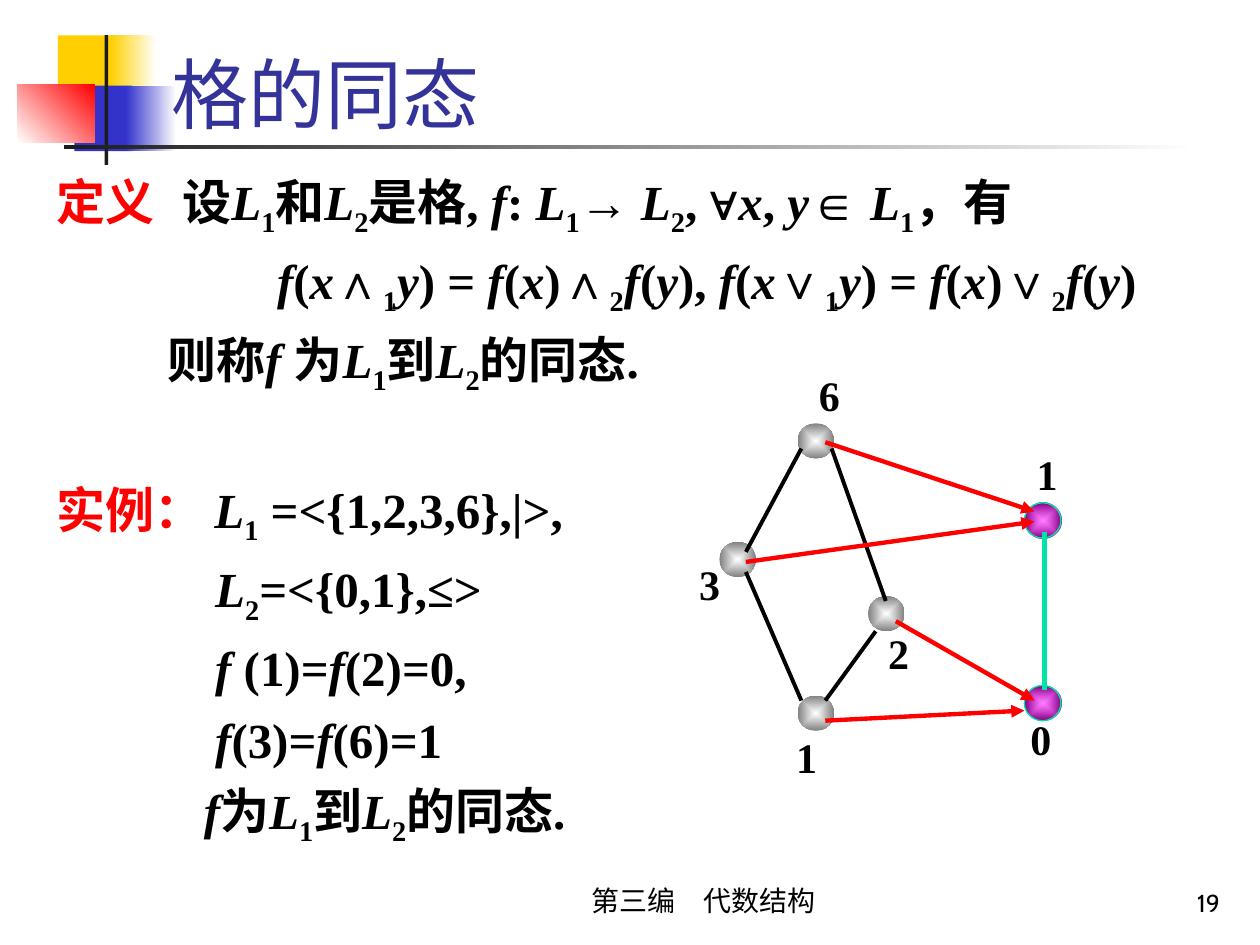
from dataclasses import dataclass
from itertools import groupby

from lxml.etree import SubElement
from pptx import Presentation
from pptx.dml.color import RGBColor
from pptx.enum.shapes import MSO_CONNECTOR, MSO_SHAPE
from pptx.enum.text import MSO_ANCHOR, PP_ALIGN
from pptx.oxml import parse_xml
from pptx.oxml.ns import nsdecls, qn
from pptx.util import Inches, Pt


@dataclass(frozen=True)
class Theme:
    sans: str = "Cabin"
    serif: str = "Times New Roman"
    title_size: int = 44
    body_size: int = 28
    label_size: int = 24
    footer_size: int = 16
    number_size: int = 14
    title: str = "333399"
    black: str = "000000"
    white: str = "FFFFFF"
    red: str = "FF0000"
    yellow: str = "FFCF01"
    blue: str = "3333CC"
    dark: str = "1C1C1C"
    gray: str = "808080"
    magenta: str = "FF00FF"
    purple: str = "760076"
    green: str = "00E4A8"


T = Theme()
NODE_W, NODE_H = 0.29, 0.28

# Letters are set in italics; a digit after "_" is a subscript.
# Each line: left indent, space before, red lead-in, text
BODY = [
    (0, 0, "定义\t", "设L_1和L_2是格, f: L_1→ L_2, ∀x, y∈ L_1，有"),
    (1.75, 7, "", "f(x∧_1y) = f(x)∧_2f(y), f(x∨_1y) = f(x)∨_2f(y)"),
    (0.88, 7, "", "则称f 为L_1到L_2的同态."),
    (0, 47.5, "实例： ", "L_1 =<{1,2,3,6},|>,"),
    (1.26, 7, "", "L_2=<{0,1},≤>"),
    (1.26, 7, "", "f (1)=f(2)=0,"),
    (1.26, 7, "", "f(3)=f(6)=1"),
    (1.17, 7, "", "f为L_1到L_2的同态."),
]
LEAD_TAB = 0.97

SOURCE_NODES = [(6.33, 3.36), (5.71, 4.3), (6.89, 4.73), (6.33, 5.52)]
TARGET_NODES = [(8.13, 5.44), (8.13, 3.99)]
SOURCE_EDGES = [
    ((6.36, 3.56), (5.92, 4.38)),
    ((6.95, 5.01), (6.55, 5.56)),
    ((6.36, 5.56), (5.92, 4.54)),
    ((7.03, 4.77), (6.6, 3.56)),
]
TARGET_EDGE = ((8.29, 4.22), (8.29, 5.48))
MAPPINGS = [
    ((6.55, 3.51), (8.21, 4.06)),
    ((5.92, 4.46), (8.21, 4.14)),
    ((6.55, 5.72), (8.13, 5.64)),
    ((7.11, 4.93), (8.21, 5.56)),
]
LABELS = [
    ("1", 6.22, 5.76), ("2", 6.95, 4.93), ("3", 5.45, 4.38),
    ("6", 6.4, 2.88), ("0", 8.08, 5.61), ("1", 8.13, 3.51),
]


def rgb(value):
    return RGBColor.from_string(value)


def add_run(p, text, size, color, font, **formats):
    r = p.add_run()
    r.text = text
    r.font.color.rgb = rgb(color)
    formats.update(size=Pt(size), name=font)
    for name, value in formats.items():
        setattr(r.font, name, value)
    return r


def add_box(s, x, y, w, h, **formats):
    tf = s.shapes.add_textbox(Inches(x), Inches(y), Inches(w), Inches(h)).text_frame
    for name, value in ({"word_wrap": True} | formats).items():
        setattr(tf, name, value)
    return tf


def add_line_of_text(s, at, text, size, color, font, align=PP_ALIGN.LEFT):
    """One bottom-anchored line: title, footer or slide number."""
    p = add_box(s, *at, vertical_anchor=MSO_ANCHOR.BOTTOM).paragraphs[0]
    p.alignment = align
    add_run(p, text, size, color, font)


def add_math(p, text):
    """Split marked-up text into italic, subscript and plain runs."""
    styled = []
    for before, char in zip(" " + text, text):
        if char != "_":
            styled.append((char, before == "_", char.isascii() and char.isalpha()))
    for (sub, italic), chars in groupby(styled, key=lambda c: c[1:]):
        r = add_run(p, "".join(c[0] for c in chars), T.body_size, T.black,
                    T.serif, bold=True, italic=italic)
        if sub:
            r.font._element.set("baseline", "-25000")


def add_body(s):
    tf = add_box(s, 0.35, 1.31, 9.29, 5.98)
    for i, (indent, before, lead, text) in enumerate(BODY):
        p = tf.add_paragraph() if i else tf.paragraphs[0]
        p.space_before = Pt(before)
        pPr = p._p.get_or_add_pPr()
        pPr.set("marL", str(Inches(indent)))
        pPr.set("indent", "0")
        if "\t" in lead:
            tabs = SubElement(pPr, qn("a:tabLst"))
            SubElement(tabs, qn("a:tab"), pos=str(Inches(LEAD_TAB)), algn="l")
        if lead:
            add_run(p, lead, T.body_size, T.red, T.serif, bold=True)
        add_math(p, text)


def add_filled(s, kind, at, colors, angle=0):
    """Add a shape with a solid fill (one colour) or a linear gradient (two)."""
    sp = s.shapes.add_shape(kind, *(Inches(v) for v in at))
    sp.shadow.inherit = False
    sp.line.fill.background()
    if len(colors) == 1:
        sp.fill.solid()
        sp.fill.fore_color.rgb = rgb(colors[0])
    else:
        sp.fill.gradient()
        sp.fill.gradient_angle = angle
        for stop, color in zip(sp.fill.gradient_stops, colors):
            stop.color.rgb = rgb(color)
    return sp


def add_node(s, x, y, colors, outline=None):
    """Add a lattice element shaded from its centre outwards."""
    sp = add_filled(s, MSO_SHAPE.OVAL, (x, y, NODE_W, NODE_H), colors)
    grad = sp._element.spPr.find(qn("a:gradFill"))
    grad.replace(grad.find(qn("a:lin")), parse_xml(
        f'<a:path {nsdecls("a")} path="rect">'
        '<a:fillToRect l="50000" t="50000" r="50000" b="50000"/></a:path>'))
    if outline:
        sp.line.color.rgb = rgb(outline)
        sp.line.width = Pt(0.75)
        SubElement(grad.find(".//" + qn("a:srgbClr")), qn("a:alpha"), val="50000")


def add_line(s, start, end, color, width, arrow=False):
    c = s.shapes.add_connector(MSO_CONNECTOR.STRAIGHT,
                               *(Inches(v) for v in start + end))
    c.line.color.rgb = rgb(color)
    c.line.width = Pt(width)
    if arrow:
        SubElement(c.line._get_or_add_ln(), qn("a:tailEnd"), type="triangle")
    SubElement(c._element.spPr, qn("a:effectLst"))


def add_ornament(s):
    for at, colors, angle in [
        ((0.46, 0.28, 0.48, 0.52), [T.yellow], 0),
        ((0.88, 0.28, 0.36, 0.52), [T.yellow, T.white], 0),
        ((0.59, 0.68, 0.46, 0.52), [T.blue], 0),
        ((1, 0.68, 0.4, 0.52), [T.blue, T.white], 0),
        ((0.14, 0.67, 0.61, 0.46), [T.white, T.red], 45),
        ((0.83, 0.28, 0.03, 1.03), [T.dark], 0),
        ((0.51, 1.15, 9, 0.03), [T.dark, T.white], 0),
    ]:
        add_filled(s, MSO_SHAPE.RECTANGLE, at, colors, angle)


def add_diagram(s):
    for x, y in SOURCE_NODES:
        add_node(s, x, y, [T.white, T.gray])
    for start, end in SOURCE_EDGES:
        add_line(s, start, end, T.black, 2.25)
    for x, y in TARGET_NODES:
        add_node(s, x, y, [T.magenta, T.purple], T.green)
    add_line(s, *TARGET_EDGE, T.green, 2.5)
    for text, x, y in LABELS:
        tf = add_box(s, x, y, 0.36, 0.5, word_wrap=False)
        add_run(tf.paragraphs[0], text, T.label_size, T.black, T.serif, bold=True)
    for start, end in MAPPINGS:
        add_line(s, start, end, T.red, 2.5, arrow=True)


def main():
    prs = Presentation()
    prs.slide_width, prs.slide_height = Inches(10), Inches(7.5)
    s = prs.slides.add_slide(prs.slide_layouts[6])
    add_ornament(s)
    add_line_of_text(s, (4, 6.83, 3.17, 0.5), "第三编　代数结构",
                     T.footer_size, T.black, T.sans, PP_ALIGN.CENTER)
    add_line_of_text(s, (7.7, 6.83, 2.08, 0.5), "19",
                     T.number_size, T.black, T.sans, PP_ALIGN.RIGHT)
    add_line_of_text(s, (1.26, 0.08, 8.52, 1.07), "格的同态",
                     T.title_size, T.title, T.sans)
    add_body(s)
    add_diagram(s)
    prs.save("out.pptx")


if __name__ == "__main__":
    main()
